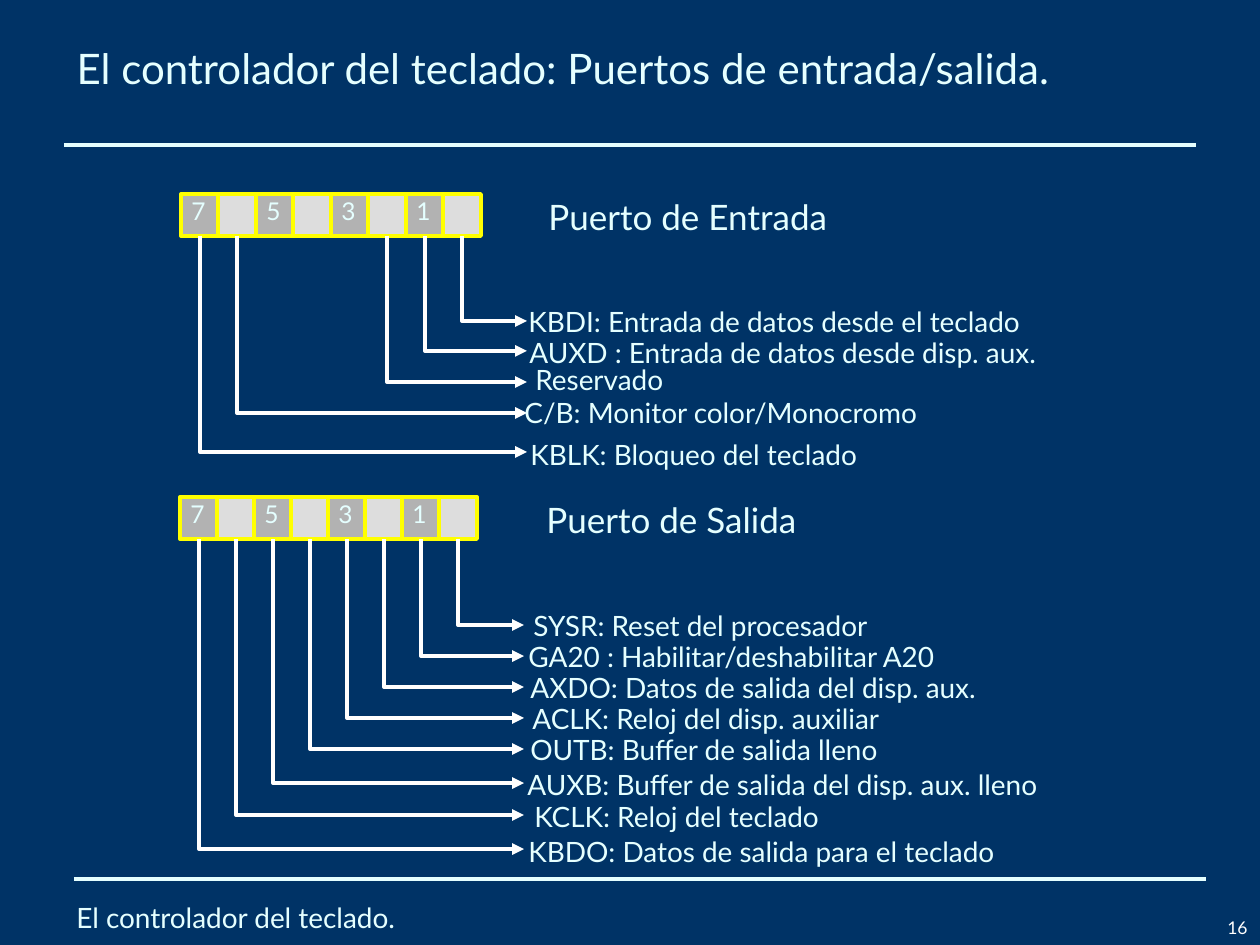
"""Build the slide on the input and output ports of the keyboard controller."""
from dataclasses import dataclass

from lxml.etree import SubElement
from pptx import Presentation
from pptx.dml.color import RGBColor
from pptx.enum.shapes import MSO_CONNECTOR, MSO_SHAPE
from pptx.enum.text import MSO_ANCHOR, MSO_AUTO_SIZE, PP_ALIGN
from pptx.oxml.ns import qn
from pptx.util import Pt

SCALE = 914400 / 126
BITS = 8


@dataclass(frozen=True)
class Theme:
    back: str = "003366"
    text: str = "E5FFFF"
    white: str = "FFFFFF"
    edge: str = "FFFF00"
    odd: str = "B2B2B2"
    even: str = "DDDDDD"
    font: str = "Lato"
    title: int = 24
    head: int = 20
    label: int = 16
    digit: int = 14
    page: int = 10
    line: float = 2.25


THEME = Theme()

PORTS = (
    dict(name="Puerto de Entrada", left=181, top=194, width=300, tip=527, head=536, rows=(
        (0, 321, 516, 321, "KBDI: Entrada de datos desde el teclado"),
        (1, 351, 517, 352, "AUXD : Entrada de datos desde disp. aux."),
        (2, 382, 523, 379, "Reservado"),
        (6, 413, 512, 412, "C/B: Monitor color/Monocromo"),
        (7, 452, 518, 454, "KBLK: Bloqueo del teclado"))),
    dict(name="Puerto de Salida", left=180, top=497, width=297, tip=524, head=534, rows=(
        (0, 625, 521, 625, "SYSR: Reset del procesador"),
        (1, 656, 516, 656, "GA20 : Habilitar/deshabilitar A20"),
        (2, 687, 518, 687, "AXDO: Datos de salida del disp. aux."),
        (3, 718, 520, 718, "ACLK: Reloj del disp. auxiliar"),
        (4, 749, 518, 749, "OUTB: Buffer de salida lleno"),
        (5, 783, 515, 784, "AUXB: Buffer de salida del disp. aux. lleno"),
        (6, 815, 522, 816, "KCLK: Reloj del teclado"),
        (7, 849, 516, 851, "KBDO: Datos de salida para el teclado"))),
)


def px(*sizes):
    return [round(size * SCALE) for size in sizes]


def tint(code):
    return RGBColor.from_string(code)


def apply(thing, values):
    for name, value in values.items():
        setattr(thing, name, value)


def write(shape, text, size, color=THEME.text, align=PP_ALIGN.LEFT,
          anchor=MSO_ANCHOR.MIDDLE, wrap=True):
    frame = shape.text_frame
    frame.text = text
    apply(frame, dict(word_wrap=wrap, vertical_anchor=anchor, auto_size=MSO_AUTO_SIZE.NONE))
    para = frame.paragraphs[0]
    para.alignment = align
    apply(para.font, dict(name=THEME.font, size=Pt(size), bold=False))
    para.font.color.rgb = tint(color)


def add_text(shapes, box, text, size, **style):
    write(shapes.add_textbox(*px(*box)), text, size, **style)


def stroke(shape, color):
    shape.line.color.rgb = tint(color)
    shape.line.width = Pt(THEME.line)


def add_rule(shapes, left, right, y):
    rule = shapes.add_connector(MSO_CONNECTOR.STRAIGHT, *px(left, y, right, y))
    stroke(rule, THEME.text)
    SubElement(rule.element.spPr, qn("a:effectLst"))


def add_cell(shapes, box, bit):
    odd = bit % 2 == 1
    cell = shapes.add_shape(MSO_SHAPE.RECTANGLE, *px(*box))
    cell.shadow.inherit = False
    cell.fill.solid()
    cell.fill.fore_color.rgb = tint(THEME.odd if odd else THEME.even)
    stroke(cell, THEME.edge)
    if odd:
        left, top, width, height = box
        add_text(shapes, (left - 1, top - 4, width, height), str(bit), THEME.digit,
                 align=PP_ALIGN.CENTER, wrap=False)


def add_arrow(shapes, x, top, tip, y):
    path = shapes.build_freeform(*px(x, top), scale=1.0)
    path.add_line_segments([px(x, y), px(tip, y)], close=False)
    arrow = path.convert_to_shape()
    arrow.fill.background()
    arrow.shadow.inherit = False
    stroke(arrow, THEME.white)
    SubElement(arrow.line._get_or_add_ln(), qn("a:tailEnd"), type="triangle")


def add_port(slide, port):
    shapes = slide.shapes.add_group_shape().shapes
    left, top, height = port["left"], port["top"], 42
    edges = [left + port["width"] * i // BITS for i in range(BITS + 1)]
    mids = {}
    for i, (start, end) in enumerate(zip(edges, edges[1:])):
        bit = BITS - 1 - i
        mids[bit] = (start + end + 1) // 2
        add_cell(shapes, (start, top, end - start, height), bit)
    for bit, y, x, mid, text in port["rows"]:
        add_arrow(shapes, mids[bit], top + height, port["tip"], y)
        add_text(shapes, (x, mid - 23, 600, 46), text, THEME.label)
    add_text(shapes, (port["head"], top - 6, 325, 56), port["name"], THEME.head)


def add_title(slide, text):
    title = slide.shapes.title
    apply(title, dict(zip(("left", "top", "width", "height"), px(64, 36, 1012, 113))))
    write(title, text, THEME.title, anchor=MSO_ANCHOR.TOP)


def main():
    deck = Presentation()
    deck.slide_width, deck.slide_height = px(1260, 945)
    slide = deck.slides.add_slide(deck.slide_layouts[5])
    slide.background.fill.solid()
    slide.background.fill.fore_color.rgb = tint(THEME.back)
    add_rule(slide.shapes, 64, 1196, 145)
    add_rule(slide.shapes, 74, 1206, 879)
    add_title(slide, "El controlador del teclado: Puertos de entrada/salida.")
    for port in PORTS:
        add_port(slide, port)
    add_text(slide.shapes, (64, 890, 1134, 55), "El controlador del teclado.", THEME.label)
    add_text(slide.shapes, (1189, 897, 71, 47), "16", THEME.page, color=THEME.white,
             align=PP_ALIGN.RIGHT, anchor=MSO_ANCHOR.BOTTOM)
    deck.save("out.pptx")


if __name__ == "__main__":
    main()
